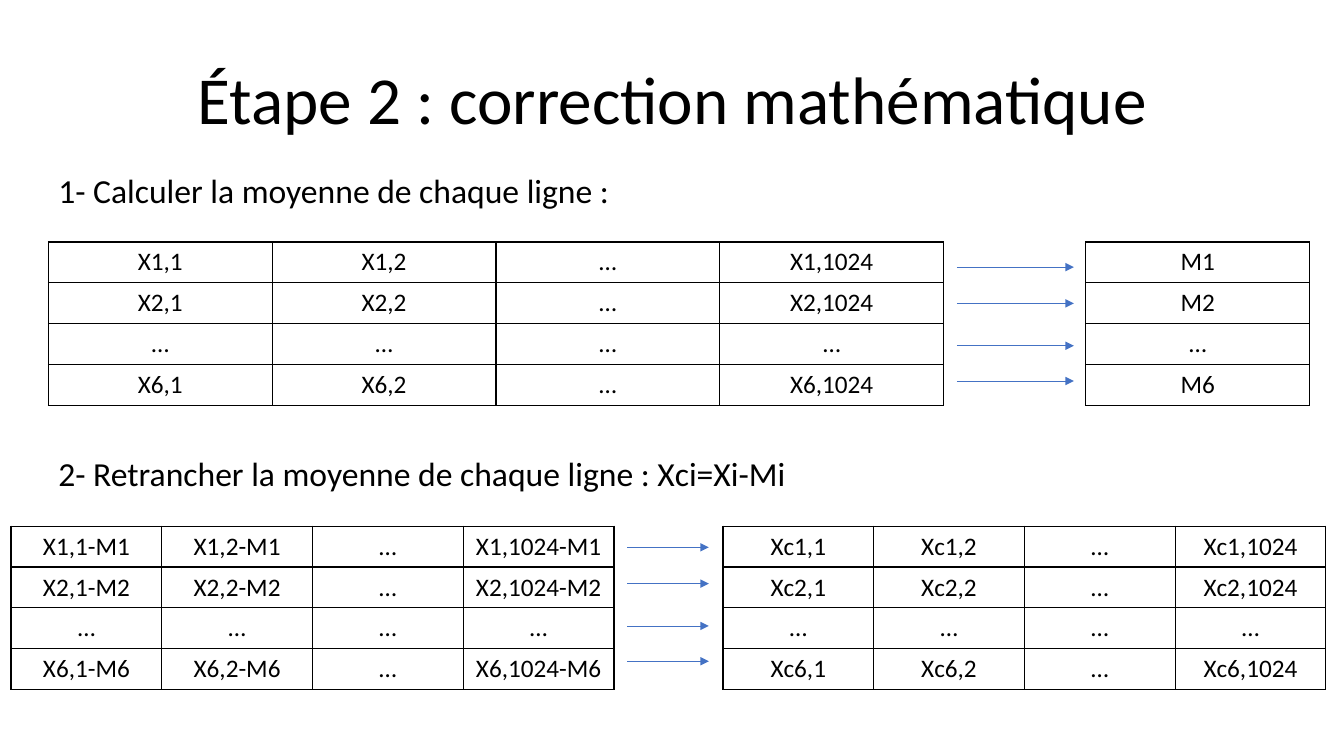
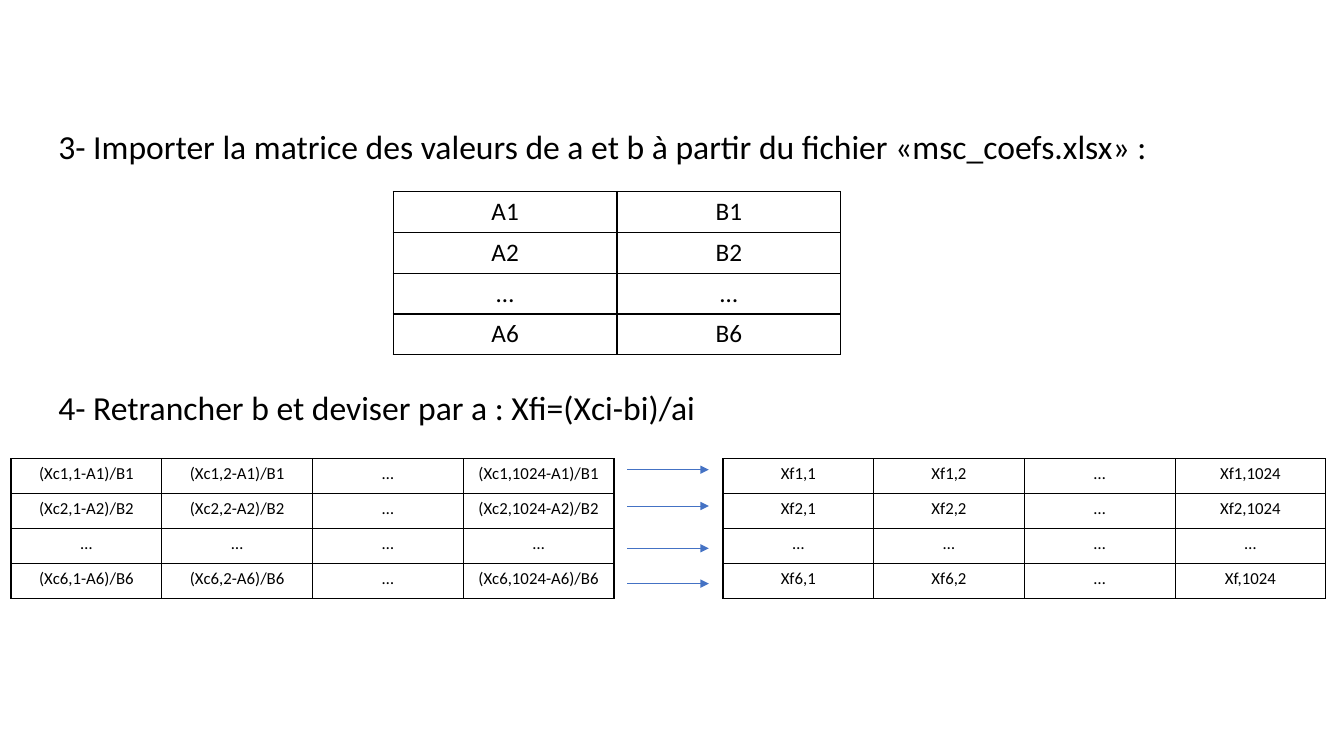
from dataclasses import dataclass

from lxml.etree import SubElement as Sub
from pptx import Presentation
from pptx.dml.color import RGBColor as Rgb
from pptx.enum.shapes import MSO_CONNECTOR as Link
from pptx.enum.text import MSO_ANCHOR as Anchor, PP_ALIGN as Align
from pptx.oxml import parse_xml
from pptx.oxml.ns import nsdecls, qn
from pptx.util import Inches, Pt


@dataclass(frozen=True)
class Theme:
    """Hold the colours, font and type sizes of the deck."""
    font: str = "Calibri"
    ink: str = "000000"
    blue: str = "4472C4"
    head: int = 48
    step: int = 24
    cell: int = 18
    small: int = 12
    rule: float = 1
    arrow: float = 0.5


THEME = Theme()
DOTS = "…"
ROWS = ("1", "2", DOTS, "6")
COLS = ("1", "2", DOTS, "1024")
DROPS = (0, 0.36, 0.78, 1.13)
EDGE = 0.48
WIDE = 2.22
HALF = 5.98
TALL = 1.62
LOW = 1.39


def style(item, form):
    """Set each format value on the item."""
    for name, value in form.items():
        setattr(item, name, value)


def write(para, text, size, **form):
    """Put styled text into a paragraph."""
    run = para.add_run()
    run.text = text
    style(run.font, {"name": THEME.font, "size": Pt(size)})
    run.font.color.rgb = Rgb.from_string(THEME.ink)
    style(para, form)


def add_text(slide, text, box, size, anchor=Anchor.TOP, **form):
    """Add a text box with one paragraph."""
    frame = slide.shapes.add_textbox(*map(Inches, box)).text_frame
    style(frame, {"word_wrap": True, "vertical_anchor": anchor})
    write(frame.paragraphs[0], text, size, line_spacing=0.9, **form)


def add_head(slide, text):
    """Add the centred title."""
    add_text(slide, text, (1.67, 0.62, 10, 0.81), THEME.head,
             Anchor.BOTTOM, alignment=Align.CENTER)


def add_step(slide, text, top, width):
    """Add the line that names a step."""
    add_text(slide, text, (EDGE, top, width, 0.5), THEME.step,
             space_before=Pt(10))


def fill_grid(form, cols=COLS):
    """Return the rows of cell text made from a pattern."""
    return [[DOTS if DOTS in (i, j) else form.format(i=i, j=j) for j in cols]
            for i in ROWS]


def frame_cell(cell):
    """Clear the fill of a cell and draw its four borders."""
    cell.fill.background()
    for spot, side in enumerate("LRTB"):
        line = parse_xml(
            f'<a:ln{side} {nsdecls("a")} w="{Pt(THEME.rule)}"><a:solidFill>'
            f'<a:srgbClr val="{THEME.ink}"/></a:solidFill></a:ln{side}>')
        cell._tc.get_or_add_tcPr().insert(spot, line)


def add_grid(slide, grid, box, size=THEME.cell):
    """Add a ruled table with equal rows and columns."""
    table = slide.shapes.add_table(
        len(grid), len(grid[0]), *map(Inches, box)).table
    style(table, {"first_row": False, "horz_banding": False})
    for col in table.columns:
        col.width = Inches(box[2] / len(grid[0]))
    for row, texts in zip(table.rows, grid):
        row.height = Inches(box[3] / len(grid))
        for cell, text in zip(row.cells, texts):
            frame_cell(cell)
            write(cell.text_frame.paragraphs[0], text, size,
                  alignment=Align.CENTER)


def add_arrows(slide, left, right, top):
    """Add one arrow for each row of a table."""
    for drop in DROPS:
        ends = (left, top + drop, right, top + drop)
        arrow = slide.shapes.add_connector(Link.STRAIGHT, *map(Inches, ends))
        arrow.line.width = Pt(THEME.arrow)
        arrow.line.color.rgb = Rgb.from_string(THEME.blue)
        Sub(arrow.line._get_or_add_ln(), qn("a:tailEnd"), type="triangle")
        Sub(arrow._element.spPr, qn("a:effectLst"))


def add_pair(slide, first, last, top, height, shift, size=THEME.cell):
    """Add two wide tables with arrows between them."""
    for grid, left in ((first, 0.11), (last, 7.17)):
        add_grid(slide, grid, (left, top, HALF, height), size)
    add_arrows(slide, 6.22, 7.03, top + shift)


def draw_means(slide):
    """Draw steps 1 and 2."""
    add_head(slide, "Étape 2 : correction mathématique")
    add_step(slide, "1- Calculer la moyenne de chaque ligne :", 1.68, 5.72)
    add_grid(slide, fill_grid("X{i},{j}"), (EDGE, 2.4, 4 * WIDE, TALL))
    add_arrows(slide, 9.49, 10.65, 2.65)
    add_grid(slide, fill_grid("M{i}", ("",)), (10.77, 2.4, WIDE, TALL))
    add_step(slide, "2- Retrancher la moyenne de chaque ligne : Xci=Xi-Mi",
             4.49, 7.75)
    add_pair(slide, fill_grid("X{i},{j}-M{i}"), fill_grid("Xc{i},{j}"),
             5.22, TALL, 0.21)


def draw_scale(slide):
    """Draw steps 3 and 4."""
    add_step(slide, "3- Importer la matrice des valeurs de a et b à partir "
             "du fichier «msc_coefs.xlsx» :", 1.25, 12.51)
    add_grid(slide, fill_grid("{j}{i}", "AB"), (3.9, 1.9, 2 * WIDE, TALL))
    add_step(slide, "4- Retrancher b et deviser par a : Xfi=(Xci-bi)/ai",
             3.83, 7.75)
    last = fill_grid("Xf{i},{j}")
    last[-1][-1] = "Xf,1024"
    add_pair(slide, fill_grid("(Xc{i},{j}-A{i})/B{i}"), last,
             4.55, LOW, 0.11, THEME.small)


def main():
    """Build and save the deck."""
    deck = Presentation()
    style(deck, {"slide_width": Inches(13.33), "slide_height": Inches(7.5)})
    for draw in (draw_means, draw_scale):
        draw(deck.slides.add_slide(deck.slide_layouts[6]))
    deck.save("out.pptx")


if __name__ == "__main__":
    main()
